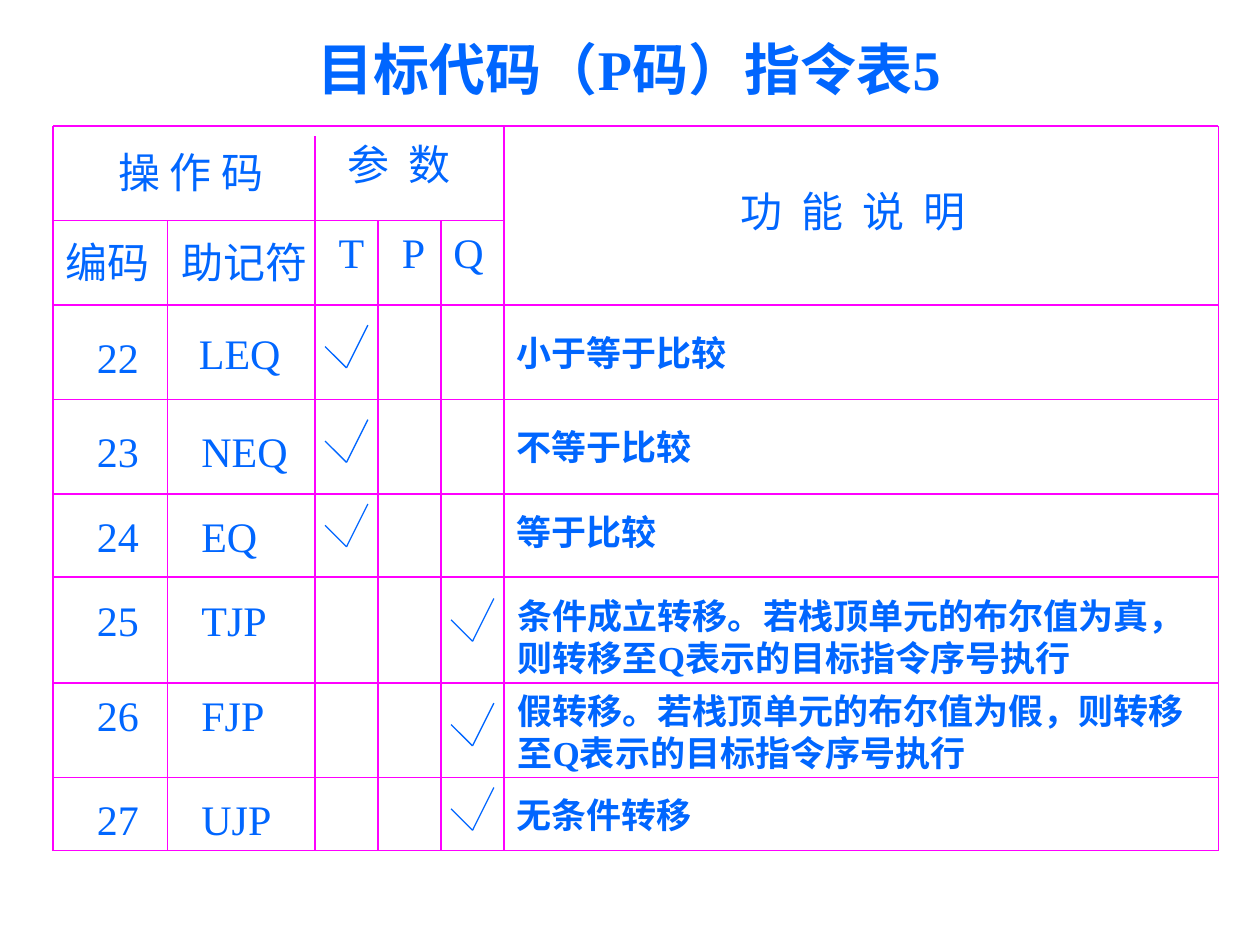
"""Build the P-code instruction table slide."""

from dataclasses import dataclass

from lxml.etree import SubElement
from pptx import Presentation
from pptx.dml.color import RGBColor
from pptx.enum.shapes import MSO_CONNECTOR as Connector
from pptx.enum.text import MSO_ANCHOR as Anchor, MSO_AUTO_SIZE as AutoSize, PP_ALIGN as Align
from pptx.oxml.ns import qn
from pptx.slide import Slide
from pptx.text.text import TextFrame
from pptx.util import Inches, Pt


@dataclass(frozen=True)
class Theme:
    """Colours, font and type sizes of the slide."""

    ink: RGBColor = RGBColor(0x00, 0x66, 0xFF)
    grid: RGBColor = RGBColor(0xFF, 0x00, 0xFF)
    font: str = "Times New Roman"
    title: int = 32
    label: int = 24
    description: int = 20
    line: float = 0.75


@dataclass(frozen=True)
class Label:
    """A piece of text and its box in inches."""

    text: str
    left: float
    top: float
    width: float
    height: float = 0.5
    bold: bool = False
    wrap: bool = False


@dataclass(frozen=True)
class Rule:
    """A straight line in inches."""

    x1: float
    y1: float
    x2: float
    y2: float


@dataclass(frozen=True)
class Instruction:
    """One instruction row, with its ticked parameter."""

    code: str
    mnemonic: str
    mnemonic_width: float
    top: float
    tick_left: float
    tick_top: float
    description: str
    description_width: float
    mnemonic_left: float = 1.5
    mnemonic_top_shift: float = 0


THEME = Theme()
LEFT, RIGHT, TOP, BOTTOM = 0.42, 9.67, 1, 6.75
PARAMETER_LEFT, DESCRIPTION_LEFT, HEADER_SPLIT = 2.5, 4, 1.75
TICK_T, TICK_Q, TICK_STEP = 2.58, 3.58, 0.17
WIDTH_SLACK = 0.03

ROW_LINES = (TOP, 2.42, 3.17, 3.92, 4.58, 5.42, 6.17, BOTTOM)
COLUMN_TOPS = {
    LEFT: TOP,
    1.33: HEADER_SPLIT,
    PARAMETER_LEFT: 1.08,
    3: HEADER_SPLIT,
    3.5: HEADER_SPLIT,
    DESCRIPTION_LEFT: TOP,
    RIGHT: TOP,
}

HEADERS = (
    Label("操 作 码", 0.84, 1.11, 1.35),
    Label("参  数", 2.66, 1.05, 1.01),
    Label("功  能  说  明", 5.78, 1.42, 1.98),
    Label("编码", 0.42, 1.83, 0.86),
    Label("助记符", 1.34, 1.83, 1.2),
    Label("T", 2.59, 1.75, 0.4),
    Label("P", 3.09, 1.75, 0.38),
    Label("Q", 3.5, 1.75, 0.44),
)

INSTRUCTIONS = (
    Instruction("22", "LEQ", 0.85, 2.58, TICK_T, 2.58, "小于等于比较", 5.5, 1.48, -0.03),
    Instruction("23", "NEQ", 0.88, 3.33, TICK_T, 3.33, "不等于比较", 5.58),
    Instruction("24", "EQ", 0.64, 4, TICK_T, 4, "等于比较", 1.31),
    Instruction("25", "TJP", 0.72, 4.67, TICK_Q, 4.75,
                "条件成立转移。若栈顶单元的布尔值为真，\n则转移至Q表示的目标指令序号执行", 5.49),
    Instruction("26", "FJP", 0.7, 5.42, TICK_Q, 5.58,
                "假转移。若栈顶单元的布尔值为假，则转移\n至Q表示的目标指令序号执行", 5.49),
    Instruction("27", "UJP", 0.75, 6.25, TICK_Q, 6.25, "无条件转移", 1.59),
)


def write_text(text_frame: TextFrame, text: str, size: int, bold: bool) -> None:
    """Fill a text frame and format its runs."""
    text_frame.text = text
    for paragraph in text_frame.paragraphs:
        paragraph.alignment = Align.LEFT
        for run in paragraph.runs:
            run.font.name = THEME.font
            run.font.size = Pt(size)
            run.font.bold = bold
            run.font.color.rgb = THEME.ink


def add_title(slide: Slide, text: str) -> None:
    """Place and fill the title placeholder."""
    title = slide.shapes.title
    title.left, title.top = Inches(2.42), Inches(0.25)
    title.width, title.height = Inches(5.33), Inches(0.58)
    title.text_frame.auto_size = AutoSize.NONE
    title.text_frame.vertical_anchor = Anchor.MIDDLE
    write_text(title.text_frame, text, THEME.title, True)


def add_label(slide: Slide, label: Label) -> None:
    """Draw one text box, a little wider than its text when it must not wrap."""
    width = label.width if label.wrap else label.width + WIDTH_SLACK
    shape = slide.shapes.add_textbox(
        Inches(label.left), Inches(label.top), Inches(width), Inches(label.height)
    )
    shape.text_frame.word_wrap = label.wrap
    shape.text_frame.auto_size = AutoSize.SHAPE_TO_FIT_TEXT
    size = THEME.description if label.bold else THEME.label
    write_text(shape.text_frame, label.text, size, label.bold)


def add_rule(slide: Slide, rule: Rule, color: RGBColor) -> None:
    """Draw one straight line without a shadow."""
    connector = slide.shapes.add_connector(
        Connector.STRAIGHT, Inches(rule.x1), Inches(rule.y1), Inches(rule.x2), Inches(rule.y2)
    )
    connector.line.color.rgb = color
    connector.line.width = Pt(THEME.line)
    SubElement(connector._element.spPr, qn("a:effectLst"))


def add_grid(slide: Slide) -> None:
    """Draw the ruled lines of the table."""
    rules = [Rule(LEFT, y, RIGHT, y) for y in ROW_LINES]
    rules.append(Rule(LEFT, HEADER_SPLIT, DESCRIPTION_LEFT, HEADER_SPLIT))
    rules += [Rule(x, top, x, BOTTOM) for x, top in COLUMN_TOPS.items()]
    for rule in rules:
        add_rule(slide, rule, THEME.grid)


def add_tick(slide: Slide, left: float, top: float) -> None:
    """Draw a tick from a short and a long stroke."""
    middle, bottom = left + TICK_STEP, top + 2 * TICK_STEP
    add_rule(slide, Rule(left, top + TICK_STEP, middle, bottom), THEME.ink)
    add_rule(slide, Rule(middle, bottom, middle + TICK_STEP, top), THEME.ink)


def add_instruction(slide: Slide, row: Instruction) -> None:
    """Draw the texts and the tick of one instruction."""
    two_lines = "\n" in row.description
    add_label(slide, Label(row.code, 0.67, row.top, 0.53))
    add_label(slide, Label(row.mnemonic, row.mnemonic_left,
                           row.top + row.mnemonic_top_shift, row.mnemonic_width))
    add_label(slide, Label(row.description, DESCRIPTION_LEFT + 0.01 * two_lines, row.top,
                           row.description_width, 0.77 if two_lines else 0.44,
                           bold=True, wrap=row.description_width >= 5.5))
    add_tick(slide, row.tick_left, row.tick_top)


def main() -> None:
    """Build and save the presentation."""
    presentation = Presentation()
    presentation.slide_width, presentation.slide_height = Inches(10), Inches(7.5)
    slide = presentation.slides.add_slide(presentation.slide_layouts.get_by_name("Title Only"))
    add_title(slide, "目标代码（P码）指令表5")
    add_grid(slide)
    for header in HEADERS:
        add_label(slide, header)
    for instruction in INSTRUCTIONS:
        add_instruction(slide, instruction)
    presentation.save("out.pptx")


if __name__ == "__main__":
    main()
